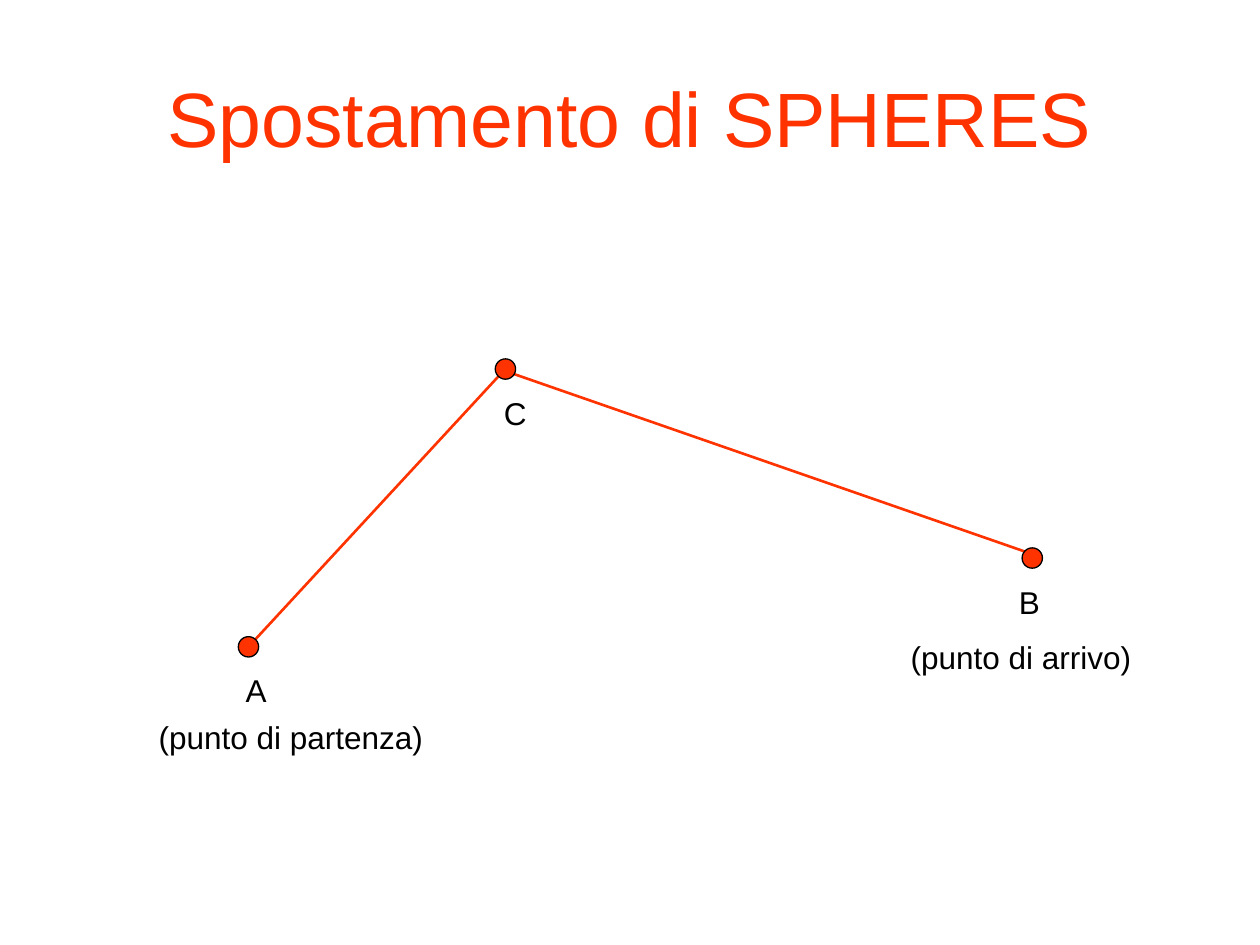
from pptx import Presentation
from pptx.dml.color import RGBColor
from pptx.enum.shapes import MSO_CONNECTOR, MSO_SHAPE
from pptx.enum.text import MSO_ANCHOR, MSO_AUTO_SIZE, PP_ALIGN
from pptx.oxml.ns import qn
from pptx.util import Cm, Pt
from lxml import etree

RED = RGBColor(0xFF, 0x33, 0x00)
BLACK = RGBColor(0x00, 0x00, 0x00)
STRAIGHT = MSO_CONNECTOR.STRAIGHT
OVAL = MSO_SHAPE.OVAL
MIDDLE = MSO_ANCHOR.MIDDLE
CENTER = PP_ALIGN.CENTER
FIT_SHAPE = MSO_AUTO_SIZE.SHAPE_TO_FIT_TEXT


class PathSlide:
    """Draws a path of labelled points on one slide in a single style."""

    font_name = "Arial"
    dot_size = 0.41
    label_height = 1.02

    def __init__(self, slide):
        self.slide = slide

    def text(self, words, left, top, width, height, size, color):
        box = self.slide.shapes.add_textbox(Cm(left), Cm(top), Cm(width), Cm(height))
        paragraph = box.text_frame.paragraphs[0]
        paragraph.text = words
        font = paragraph.runs[0].font
        font.name, font.size, font.color.rgb = self.font_name, Pt(size), color
        return box.text_frame

    def title(self, words):
        frame = self.text(words, 1.27, 0.76, 22.86, 3.18, 44, RED)
        frame.word_wrap = True
        frame.vertical_anchor = MIDDLE
        frame.paragraphs[0].alignment = CENTER

    def label(self, words, left, top, width):
        frame = self.text(words, left, top, width, self.label_height, 18, BLACK)
        frame.word_wrap = False
        frame.auto_size = FIT_SHAPE

    def leg(self, start, end):
        line = self.slide.shapes.add_connector(STRAIGHT, *map(Cm, start + end))
        line.line.color.rgb = RED
        line.line.width = Pt(1.5)
        etree.SubElement(line._element.spPr, qn("a:effectLst"))

    def dot(self, x, y):
        half = self.dot_size / 2
        dot = self.slide.shapes.add_shape(
            OVAL, Cm(x - half), Cm(y - half), Cm(self.dot_size), Cm(self.dot_size))
        dot.shadow.inherit = False
        dot.fill.solid()
        dot.fill.fore_color.rgb = RED
        dot.line.color.rgb = BLACK
        dot.line.width = Pt(0.75)


def main():
    deck = Presentation()
    deck.slide_width, deck.slide_height = Cm(25.4), Cm(19.05)
    path = PathSlide(deck.slides.add_slide(deck.slide_layouts[6]))

    path.title("Spostamento di SPHERES")
    path.leg((5.11, 12.93), (10.11, 7.52))
    path.leg((10.36, 7.54), (20.75, 11.15))

    points = [
        ("A", 5.01, 13.04, 4.7, 0.91),
        ("C", 10.19, 7.44, 9.91, 0.97),
        ("B", 20.81, 11.25, 20.29, 0.91),
    ]
    for name, x, y, label_left, label_width in points:
        path.dot(x, y)
        path.label(name, label_left, y + 0.37, label_width)

    path.label("(punto di partenza)", 2.95, 14.35, 5.84)
    path.label("(punto di arrivo)", 18.11, 12.73, 4.95)
    deck.save("out.pptx")


if __name__ == "__main__":
    main()
